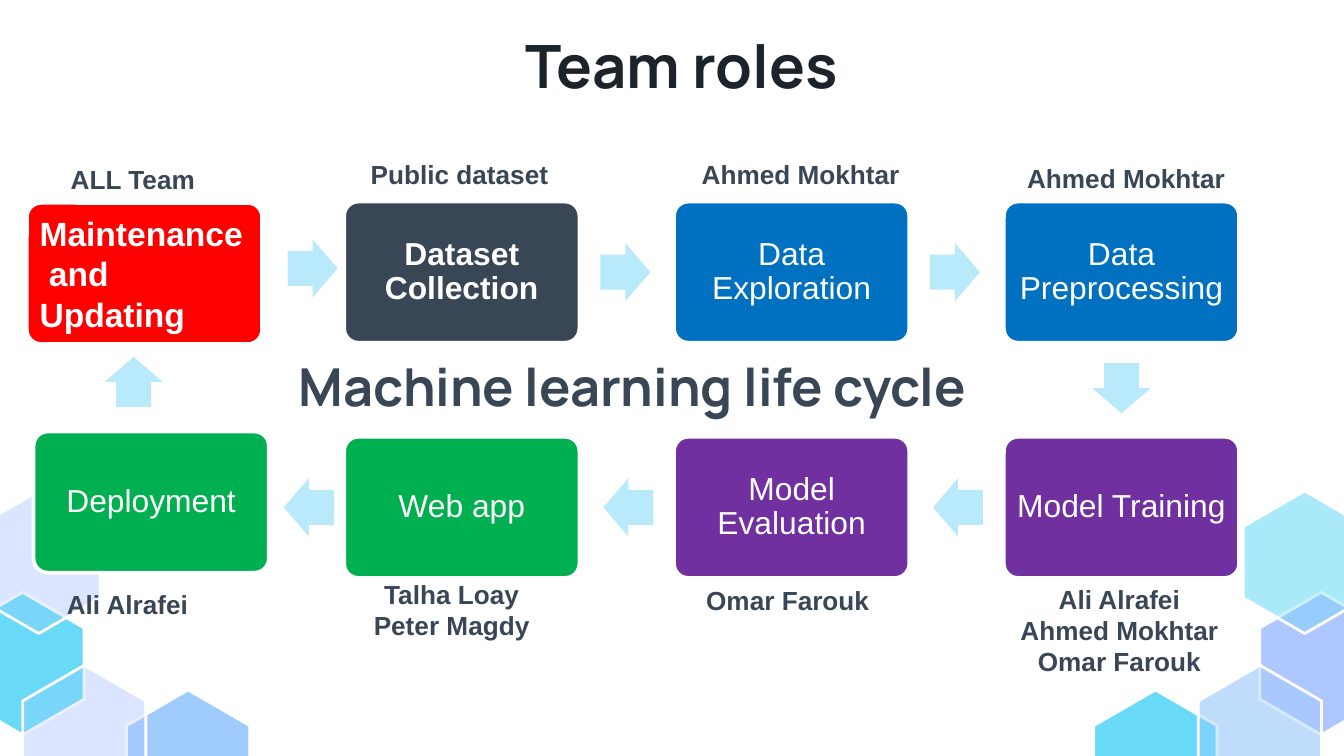
from lxml.etree import SubElement
from pptx import Presentation
from pptx.dml.color import RGBColor
from pptx.enum.shapes import MSO_SHAPE as Preset
from pptx.enum.text import MSO_ANCHOR as Anchor, PP_ALIGN as Align
from pptx.oxml.ns import qn
from pptx.util import Pt

COLORS = {
    "white": "FFFFFF", "ink": "1C232B", "slate": "384655", "red": "FF0000",
    "blue": "0070C0", "purple": "7030A0", "green": "00B050", "arrow": "B9EAFB",
    "lavender": "AFC7FF", "sky": "9FCBFD", "cyan": "68DAF8",
}
STEP_W, STEP_H = 126, 75.6
STEP_INSET, LABEL_INSET = 4.6, 7.2
ARROW_W, ARROW_H = 26.8, 31.2
LABEL_W, LABEL_H = 128, 39.6
HEX_W, HEX_H = 66, 76.4

# Grid of the three right-hand columns
COL = [184.4 + 176.7 * i for i in range(3)]
TOP, BOTTOM = 108, 234

# Hexagons: left, top, color, opacity in percent
VEILS = [(12.2, 356.4, "lavender", 25), (-12.2, 263, "lavender", 25),
         (642, 356.4, "sky", 41), (666, 263, "cyan", 34)]
SOLIDS = [(586, 369.6, "cyan", 100), (67.8, 369.6, "sky", 100),
          (-20.9, 317.3, "cyan", 100), (674.9, 317.3, "lavender", 100)]

# Steps: left, top, color, text
STEPS = [
    (COL[0], TOP, "slate", "Dataset Collection"),
    (COL[1], TOP, "blue", "Data Exploration"),
    (COL[2], TOP, "blue", "Data Preprocessing"),
    (COL[2], BOTTOM, "purple", "Model Training"),
    (COL[1], BOTTOM, "purple", "Model Evaluation"),
    (COL[0], BOTTOM, "green", "Web app"),
    (18, 231.2, "green", "Deployment"),
]

# Arrows: left, top, rotation
ARROWS = [
    (154.1, 128.2, 0), (321.6, 130.2, 0), (498.2, 130.2, 0),
    (587.4, 192.4, 90),
    (499.8, 256.2, 180), (323.2, 256.2, 180), (152, 256.2, 180),
    (58.2, 189, 270),
]

# Owners: left, bottom, names
OWNERS = [
    (7.2, 111.6, ["ALL Team"]),
    (182.2, 108.8, ["Public dataset"]),
    (365, 108.6, ["Ahmed Mokhtar"]),
    (539.3, 110.8, ["Ahmed Mokhtar"]),
    (535.7, 370, ["Ali Alrafei", "Ahmed Mokhtar", "Omar Farouk"]),
    (358, 337, ["Omar Farouk"]),
    (178, 350.6, ["Talha Loay", "Peter Magdy"]),
    (4.3, 339, ["Ali Alrafei"]),
]


def rgb(name):
    return RGBColor.from_string(COLORS[name])


def paint(shape, fill, line_width=0):
    shape.shadow.inherit = False
    shape.fill.solid()
    shape.fill.fore_color.rgb = rgb(fill)
    if line_width:
        shape.line.color.rgb = rgb("white")
        shape.line.width = Pt(line_width)
    else:
        shape.line.fill.background()


def write(shape, lines, size, color, bold, font="Arial", align=Align.CENTER,
          anchor=Anchor.BOTTOM, spacing=1.0, inset=LABEL_INSET):
    frame = shape.text_frame
    frame.word_wrap = True
    frame.vertical_anchor = anchor
    frame.margin_left = frame.margin_right = Pt(inset)
    frame.margin_top = frame.margin_bottom = Pt(inset)
    for i, line in enumerate(lines):
        para = frame.add_paragraph() if i else frame.paragraphs[0]
        para.alignment = align
        para.line_spacing = spacing
        span = para.add_run()
        span.text = line
        span.font.name = font
        span.font.size = Pt(size)
        span.font.bold = bold
        span.font.color.rgb = rgb(color)


def add_hexagon(page, left, top, color, opacity):
    middle, right = left + HEX_W / 2, left + HEX_W
    upper, lower = top + HEX_H / 4, top + HEX_H * 3 / 4
    corners = [(right, upper), (right, lower), (middle, top + HEX_H),
               (left, lower), (left, upper)]
    builder = page.shapes.build_freeform(Pt(middle), Pt(top))
    builder.add_line_segments([(Pt(x), Pt(y)) for x, y in corners], close=True)
    hexagon = builder.convert_to_shape()
    paint(hexagon, color, 1.5)
    if opacity < 100:
        tint = hexagon._element.spPr.find(qn("a:solidFill"))[0]
        SubElement(tint, qn("a:alpha")).set("val", str(opacity * 1000))


def add_step(page, left, top, color):
    box = page.shapes.add_shape(Preset.ROUNDED_RECTANGLE, Pt(left), Pt(top),
                                Pt(STEP_W), Pt(STEP_H))
    box.adjustments[0] = 0.1
    paint(box, color, 2)
    return box


def add_arrow(page, left, top, rotation):
    arrow = page.shapes.add_shape(Preset.RIGHT_ARROW, Pt(left), Pt(top),
                                  Pt(ARROW_W), Pt(ARROW_H))
    arrow.adjustments[0] = 0.6
    arrow.adjustments[1] = 0.5
    arrow.rotation = rotation
    paint(arrow, "arrow")


def add_owner(page, left, bottom, names):
    height = LABEL_H + 16 * (len(names) - 1)
    box = page.shapes.add_textbox(Pt(left), Pt(bottom - height),
                                  Pt(LABEL_W), Pt(height))
    write(box, names, 14, "slate", True)


def add_heading(page, left, top, width, text, size, color):
    box = page.shapes.add_textbox(Pt(left), Pt(top), Pt(width), Pt(45.4))
    write(box, [text], size, color, True, font="Manrope")


def main():
    deck = Presentation()
    deck.slide_width, deck.slide_height = Pt(720), Pt(405)
    page = deck.slides.add_slide(deck.slide_layouts[6])

    # Hexagon decoration, with translucent layers below and above the solid ones
    for hexagon in VEILS + SOLIDS + VEILS:
        add_hexagon(page, *hexagon)

    # Life cycle
    for left, top, color, text in STEPS:
        box = add_step(page, left, top, color)
        write(box, [text], 17, "white", color == "slate",
              anchor=Anchor.MIDDLE, spacing=0.9, inset=STEP_INSET)
    upkeep = add_step(page, 14.4, 108.7, "red")
    write(upkeep, ["Maintenance", " and Updating"], 18, "white", True,
          align=Align.LEFT, anchor=Anchor.MIDDLE, inset=STEP_INSET)
    for arrow in ARROWS:
        add_arrow(page, *arrow)

    # Owners and headings
    for owner in OWNERS:
        add_owner(page, *owner)
    add_heading(page, 138.2, 185, 401, "Machine learning life cycle", 28, "slate")
    add_heading(page, 211, 15.8, 308.2, "Team roles", 32, "ink")

    deck.save("out.pptx")


if __name__ == "__main__":
    main()
